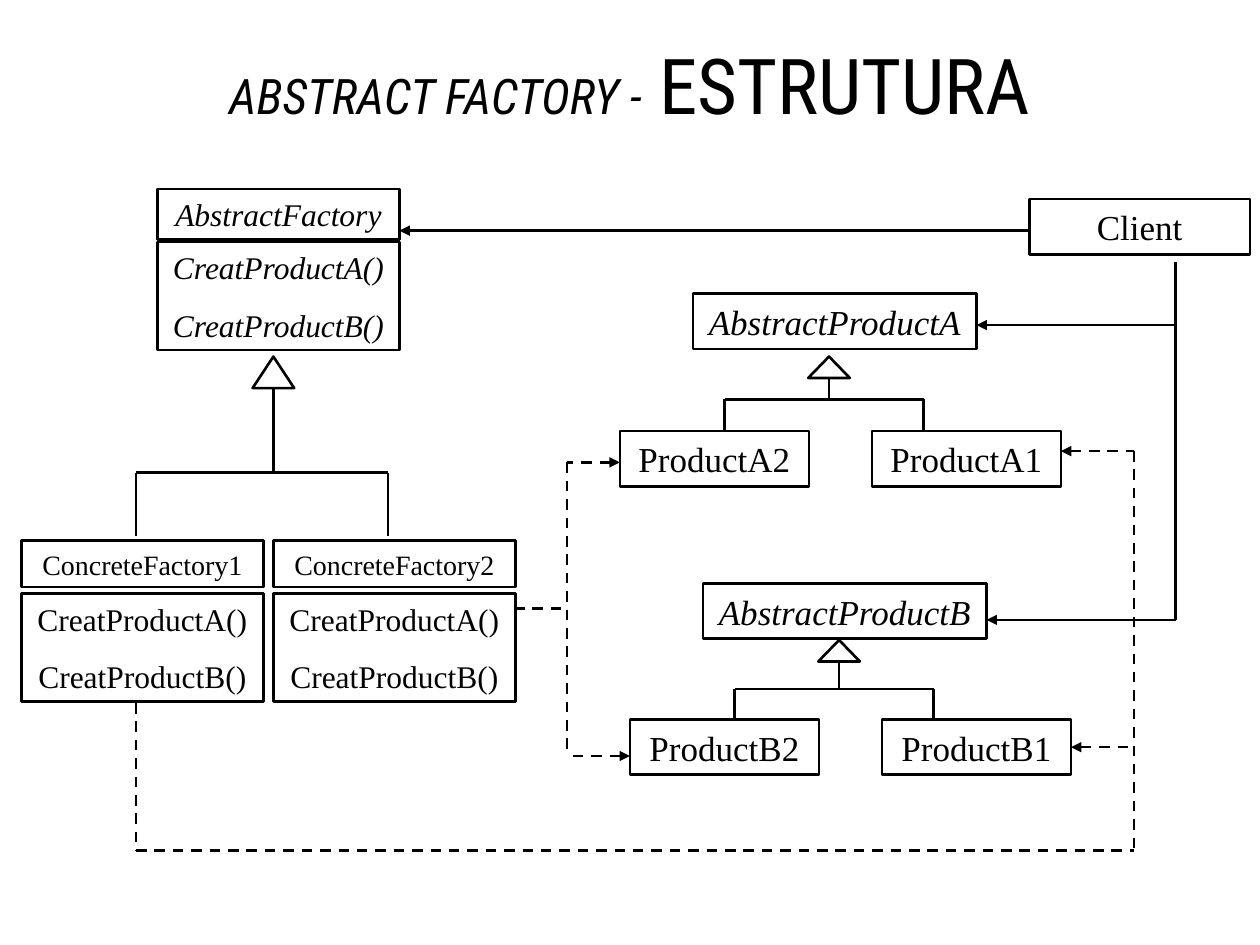
from dataclasses import dataclass
from itertools import pairwise

from pptx import Presentation
from pptx.dml.color import RGBColor
from pptx.enum.dml import MSO_LINE
from pptx.enum.shapes import MSO_CONNECTOR, MSO_SHAPE
from pptx.enum.text import MSO_ANCHOR as Anchor, PP_ALIGN as Align
from pptx.oxml.ns import qn
from pptx.util import Inches, Pt
from lxml import etree


@dataclass(frozen=True)
class Theme:
    ink: RGBColor = RGBColor(0, 0, 0)
    title_font: str = "Roboto Condensed"
    body_font: str = "Times New Roman"
    title_size: float = 44
    pattern_size: float = 28
    class_size: float = 20
    method_size: float = 18
    small_size: float = 16
    paragraph_gap: float = 11.2
    line_width: float = 1.5


THEME = Theme()


def add_run(paragraph, text, size, font=THEME.body_font, italic=False):
    run = paragraph.add_run()
    run.text = text
    run.font.name = font
    run.font.size = Pt(size)
    run.font.italic = italic
    run.font.color.rgb = THEME.ink


def style_line(line, dashed=False):
    line.color.rgb = THEME.ink
    line.width = Pt(THEME.line_width)
    if dashed:
        line.dash_style = MSO_LINE.DASH


def add_outline(slide, kind, left, top, width, height):
    shape = slide.shapes.add_shape(
        kind, Inches(left), Inches(top), Inches(width), Inches(height))
    shape.shadow.inherit = False
    shape.fill.background()
    style_line(shape.line)
    return shape


def add_class_box(slide, box, lines, size=THEME.class_size, italic=False):
    shape = add_outline(slide, MSO_SHAPE.RECTANGLE, *box)
    frame = shape.text_frame
    frame.word_wrap = True
    frame.vertical_anchor = Anchor.MIDDLE
    for index, text in enumerate(lines):
        paragraph = frame.add_paragraph() if index else frame.paragraphs[0]
        paragraph.alignment = Align.CENTER
        if index:
            paragraph.space_before = Pt(THEME.paragraph_gap)
        add_run(paragraph, text, size, italic=italic)
    return shape


def add_route(slide, *points, dashed=False, arrow=False):
    """Draw straight segments through the points, with any arrowhead at the first."""
    segments = []
    for start, end in pairwise(points):
        segment = slide.shapes.add_connector(
            MSO_CONNECTOR.STRAIGHT, *(Inches(value) for value in (*start, *end)))
        style_line(segment.line, dashed)
        etree.SubElement(segment._element.spPr, qn("a:effectLst"))
        segments.append(segment)
    if arrow:
        outline = segments[0].line._get_or_add_ln()
        etree.SubElement(outline, qn("a:headEnd"), type="triangle")
    return segments


def add_inheritance(slide, box, apex, triangle_height, bus_drop):
    """Triangle at the apex offset, over a bus with a leg at each side of the box."""
    left, top, width, height = box
    right, bottom, bus, center = left + width, top + height, top + bus_drop, left + apex
    triangle_width = 0.33
    add_outline(slide, MSO_SHAPE.FLOWCHART_EXTRACT, center - triangle_width / 2, top,
                triangle_width, triangle_height)
    add_route(slide, (center, bus), (center, top + triangle_height))
    add_route(slide, (left, bottom), (left, bus), (right, bus), (right, bottom))


def add_factory(slide, box, name, header_height, name_size, italic=False):
    left, top, width, height = box
    methods_height = 0.86
    add_class_box(slide, (left, top, width, header_height), [name], name_size, italic)
    add_class_box(slide, (left, top + height - methods_height, width, methods_height),
                  ["CreatProductA()", "CreatProductB()"], THEME.method_size, italic)


def add_product_family(slide, box, letter, tree_drop):
    """Abstract product over its two variants; returns the first variant's box."""
    left, top, width, height = box
    box_height, product_width, abstract_width = 0.44, 1.5, 2.25
    products_top = top + height - box_height
    add_class_box(slide, (left + 0.58, top, abstract_width, box_height),
                  [f"AbstractProduct{letter}"], italic=True)
    add_class_box(slide, (left, products_top, product_width, box_height),
                  [f"Product{letter}2"])
    first = add_class_box(
        slide, (left + width - product_width, products_top, product_width, box_height),
        [f"Product{letter}1"])
    tree_top = top + tree_drop
    add_inheritance(slide, (left + 0.83, tree_top, 1.58, products_top - tree_top),
                    apex=0.83, triangle_height=0.17, bus_drop=0.84 - tree_drop)
    return first


def add_title(slide, left, top, width, height):
    box = slide.shapes.add_textbox(
        Inches(left), Inches(top), Inches(width), Inches(height))
    frame = box.text_frame
    frame.word_wrap = True
    frame.vertical_anchor = Anchor.MIDDLE
    paragraph = frame.paragraphs[0]
    paragraph.alignment = Align.CENTER
    add_run(paragraph, "ABSTRACT FACTORY -", THEME.pattern_size, THEME.title_font, True)
    add_run(paragraph, " ESTRUTURA", THEME.title_size, THEME.title_font)


def add_factories(slide, left, top):
    width = 1.92
    add_factory(slide, (left + 1.08, top, width, 1.28), "AbstractFactory", 0.4,
                THEME.method_size, italic=True)
    for index in range(2):
        add_factory(slide, (left + 2 * index, top + 2.79, width, 1.28),
                    f"ConcreteFactory{index + 1}", 0.37, THEME.small_size)
    add_inheritance(slide, (left + 0.91, top + 1.33, 2, 1.42),
                    apex=1.09, triangle_height=0.25, bus_drop=0.92)


def add_client_links(slide):
    trunk = 9.33
    add_class_box(slide, (8.17, 1.58, 1.75, 0.44), ["Client"])
    add_route(slide, (3.17, 1.83), (8.17, 1.83), arrow=True)
    add_route(slide, (7.75, 2.58), (trunk, 2.58), arrow=True)
    add_route(slide, (7.83, 4.92), (trunk, 4.92), arrow=True)
    add_route(slide, (trunk, 4.92), (trunk, 2.08))


def add_creation_links(slide, product_b1):
    """Dashed links from each concrete factory to the products it creates."""
    trunk, branch = 9, 4.5
    add_route(slide, (1.08, 5.58), (1.08, 6.75), (trunk, 6.75), dashed=True)
    add_route(slide, (trunk, 3.58), (trunk, 6.75), dashed=True)
    add_route(slide, (8.42, 3.58), (trunk, 3.58), dashed=True, arrow=True)
    link, = add_route(slide, (8.5, 5.93), (trunk, 5.93), dashed=True, arrow=True)
    link.begin_connect(product_b1, 3)
    add_route(slide, (4.08, 4.83), (branch, 4.83), dashed=True)
    add_route(slide, (branch, 3.67), (branch, 6), dashed=True)
    add_route(slide, (4.92, 3.67), (branch, 3.67), dashed=True, arrow=True)
    add_route(slide, (5, 6), (branch, 6), dashed=True, arrow=True)


def main():
    presentation = Presentation()
    presentation.slide_width = Inches(10)
    presentation.slide_height = Inches(7.5)
    slide = presentation.slides.add_slide(presentation.slide_layouts[6])
    add_title(slide, 0.5, 0.25, 9, 0.83)
    add_factories(slide, 0.17, 1.5)
    add_product_family(slide, (4.92, 2.33, 3.5, 1.53), "A", tree_drop=0.5)
    product_b1 = add_product_family(slide, (5, 4.63, 3.5, 1.52), "B", tree_drop=0.45)
    add_client_links(slide)
    add_creation_links(slide, product_b1)
    presentation.save("out.pptx")


if __name__ == "__main__":
    main()
